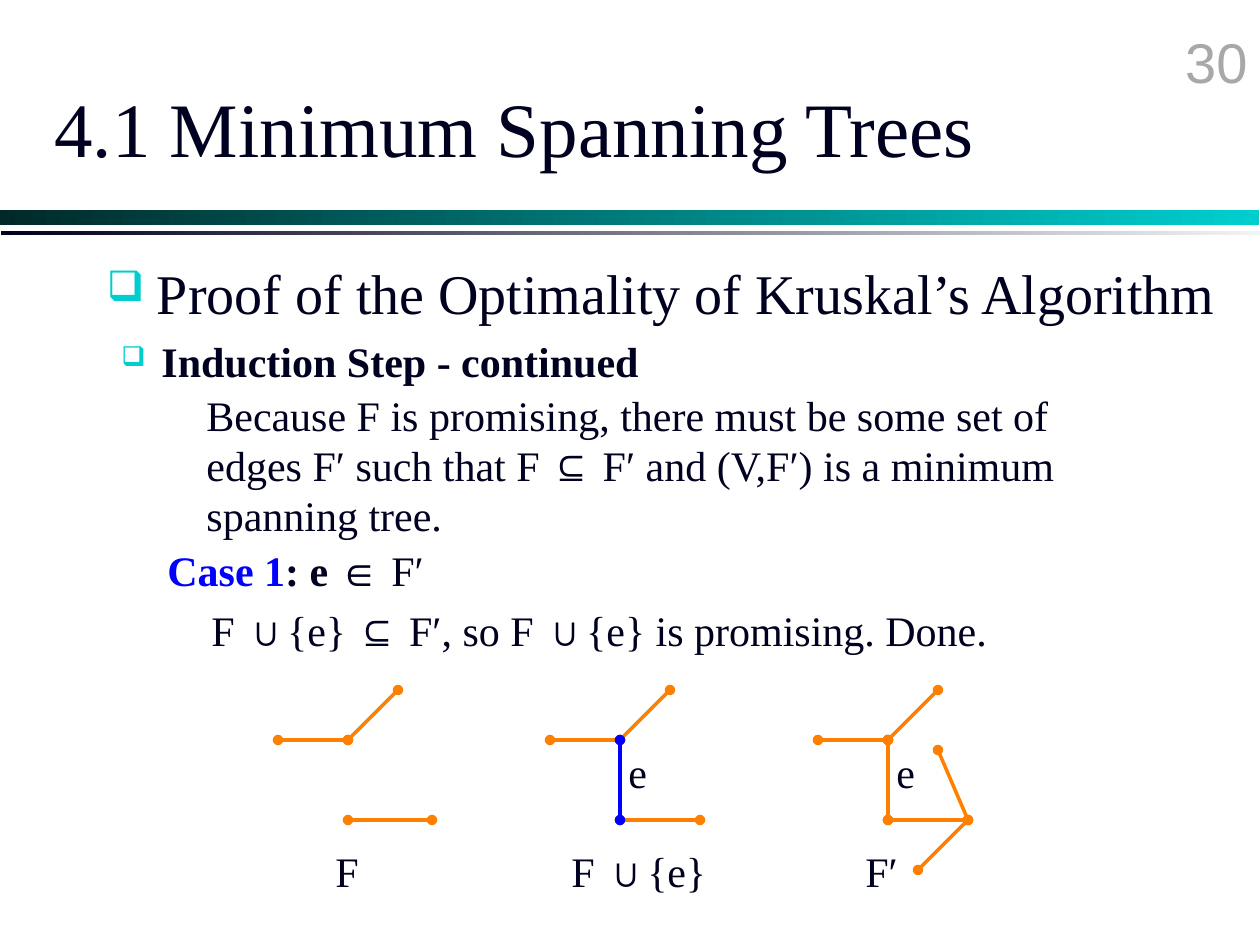
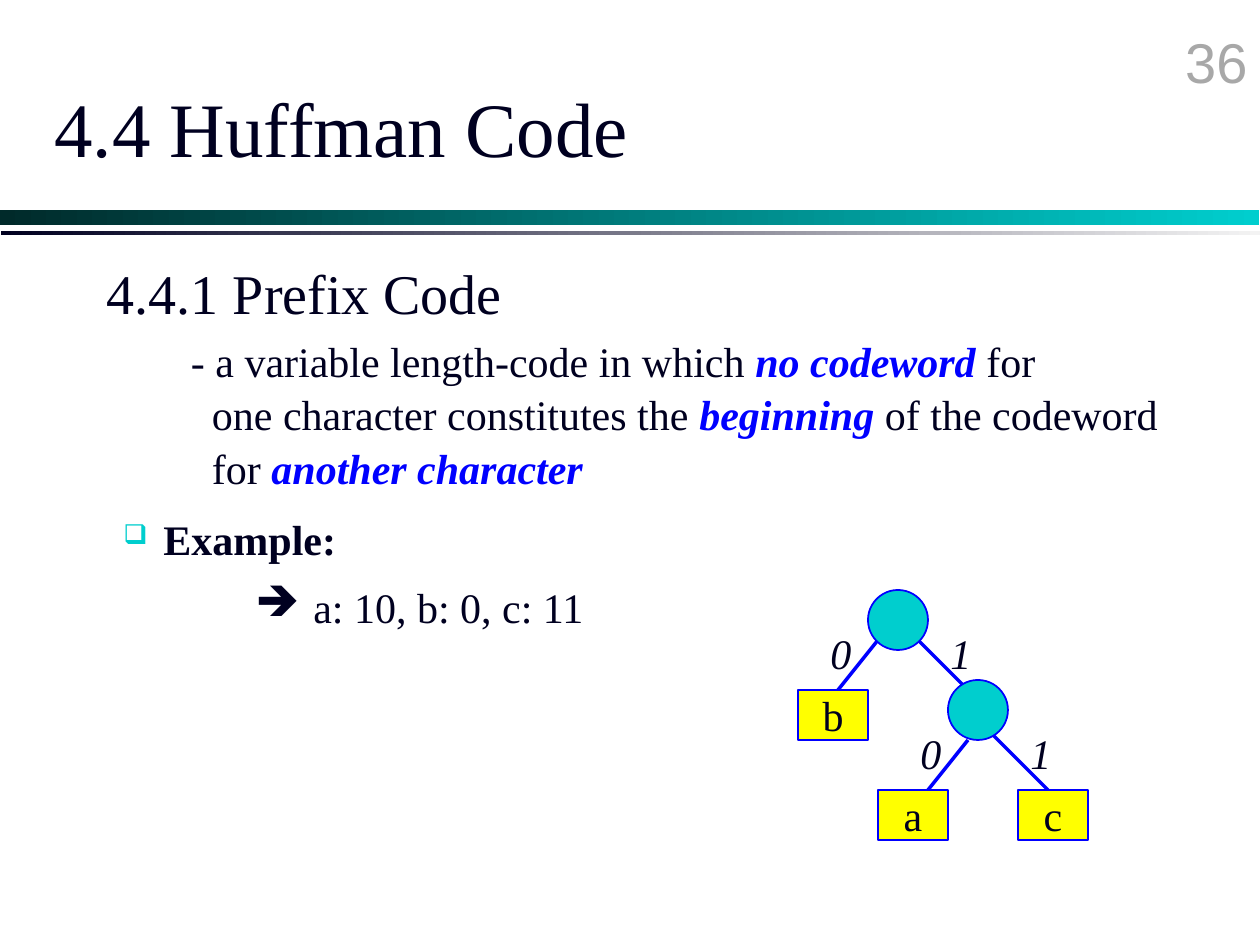
from dataclasses import dataclass
from typing import NamedTuple

from lxml.etree import SubElement
from pptx import Presentation
from pptx.dml.color import RGBColor
from pptx.enum.shapes import MSO_CONNECTOR, MSO_SHAPE
from pptx.enum.text import MSO_ANCHOR, PP_ALIGN
from pptx.oxml.ns import qn
from pptx.util import Emu, Inches, Pt

# Shared style; every length is counted in square cells, 126 to the slide's width
WIDTH, HEIGHT = Inches(10), Inches(7.5)
CELL = WIDTH / 126
INK, TEAL, BLUE, ORANGE = "000020", "00CECE", "0000FF", "FF8000"
YELLOW, GREY = "FFFF00", "A8A8A8"
SERIF, SANS = "Times New Roman", "Arial"
LINE_HEIGHT, TIGHT = 1.2, 1.08

PLAIN = {}
BOLD = {"bold": True}
ITALIC = {"italic": True}
KEYWORD = {"bold": True, "italic": True, "color": BLUE}


class Place(NamedTuple):
    col: float
    row: float
    cols: float
    rows: float


class Bullet(NamedTuple):
    mark: str
    color: str
    percent: int


class Band(NamedTuple):
    place: Place
    start: str
    end: str


@dataclass
class Line:
    """One paragraph: runs of (text, format), with its indents in cells."""
    runs: list
    margin: float = 0
    hanging: float = 0
    bullet: Bullet | None = None


@dataclass
class Block:
    """A text box with its lines and type."""
    place: Place
    lines: list
    size: float = 24
    leading: float = LINE_HEIGHT
    font: str = SERIF
    color: str = INK
    align: PP_ALIGN = PP_ALIGN.LEFT
    anchor: MSO_ANCHOR = MSO_ANCHOR.TOP
    wrap: bool = True


class Edge(NamedTuple):
    start: tuple
    end: tuple
    color: str = ORANGE


class Label(NamedTuple):
    text: str
    col: float
    row: float
    cols: float


@dataclass
class Graph:
    """Edges and labels, placed from the graph's hub."""
    col: float
    edges: list
    labels: list


class Node(NamedTuple):
    col: float
    row: float
    text: str = ""


BANDS = [Band(Place(0, 21, 125.9, 1.5), "002A2A", TEAL),
         Band(Place(0.1, 23.05, 125.9, 0.5), INK, "F3F3F3")]
HEADING_BULLET = Bullet("❑", TEAL, 75)
POINT_BULLET = Bullet("❑", TEAL, 65)
ARROW_BULLET = Bullet("➔", INK, 100)


def cells(count: float) -> Emu:
    return Emu(round(count * CELL))


def rgb(value: str) -> RGBColor:
    return RGBColor.from_string(value)


def set_format(target, values: dict) -> None:
    for name, value in values.items():
        if name == "color":
            target.color.rgb = rgb(value)
        else:
            setattr(target, name, value)


def set_indent(paragraph, line: Line) -> None:
    properties = paragraph._p.get_or_add_pPr()
    properties.set("marL", str(cells(line.margin)))
    properties.set("indent", str(-cells(line.hanging)))
    if line.bullet:
        color = SubElement(properties, qn("a:buClr"))
        SubElement(color, qn("a:srgbClr")).set("val", line.bullet.color)
        SubElement(properties, qn("a:buSzPct")).set("val", str(line.bullet.percent * 1000))
        SubElement(properties, qn("a:buChar")).set("char", line.bullet.mark)


def write(frame, block: Block) -> None:
    set_format(frame, {"word_wrap": block.wrap, "vertical_anchor": block.anchor})
    for index, line in enumerate(block.lines):
        paragraph = frame.add_paragraph() if index else frame.paragraphs[0]
        set_indent(paragraph, line)
        set_format(paragraph, {"alignment": block.align,
                               "line_spacing": Pt(block.size * block.leading)})
        if index:
            paragraph.space_before = Pt(block.size * 0.2)
        for text, changes in line.runs:
            run = paragraph.add_run()
            run.text = text
            set_format(run.font, {"name": block.font, "size": Pt(block.size),
                                  "color": block.color, **changes})


def add_block(slide, block: Block) -> None:
    box = slide.shapes.add_textbox(*map(cells, block.place))
    write(box.text_frame, block)


def add_shape(slide, kind: MSO_SHAPE, place: Place):
    shape = slide.shapes.add_shape(kind, *map(cells, place))
    shape.shadow.inherit = False
    return shape


def add_band(slide, band: Band) -> None:
    bar = add_shape(slide, MSO_SHAPE.RECTANGLE, band.place)
    bar.line.fill.background()
    bar.fill.gradient()
    bar.fill.gradient_angle = 0
    for stop, color in zip(bar.fill.gradient_stops, (band.start, band.end)):
        stop.color.rgb = rgb(color)


def add_edge(slide, edge: Edge, col: float, row: float, dots: bool = False) -> None:
    ends = [cells(base + offset) for point in (edge.start, edge.end)
            for base, offset in zip((col, row), point)]
    line = slide.shapes.add_connector(MSO_CONNECTOR.STRAIGHT, *ends)
    set_format(line.line, {"color": edge.color, "width": Pt(2)})
    properties = line._element.spPr
    if dots:
        for end in ("a:headEnd", "a:tailEnd"):
            SubElement(properties.find(qn("a:ln")), qn(end)).set("type", "oval")
    SubElement(properties, qn("a:effectLst"))


def add_label(slide, label: Label, col: float, row: float, style: dict, wrap: bool) -> None:
    place = Place(col + label.col, row + label.row, label.cols, 6.3)
    add_block(slide, Block(place, [Line([(label.text, style)])], wrap=wrap))


def add_graph(slide, graph: Graph, row: float) -> None:
    for edge in graph.edges:
        add_edge(slide, edge, graph.col, row, dots=True)
    for label in graph.labels:
        add_label(slide, label, graph.col, row, PLAIN, wrap=False)


def add_node(slide, node: Node, col: float, row: float) -> None:
    """A labelled leaf is a box; an inner node is a circle."""
    kind, size, color = ((MSO_SHAPE.RECTANGLE, (7, 5), YELLOW) if node.text
                         else (MSO_SHAPE.OVAL, (6, 6), TEAL))
    place = Place(col + node.col, row + node.row, *size)
    shape = add_shape(slide, kind, place)
    shape.fill.solid()
    shape.fill.fore_color.rgb = rgb(color)
    set_format(shape.line, {"color": BLUE, "width": Pt(1)})
    if node.text:
        write(shape.text_frame, Block(place, [Line([(node.text, PLAIN)])], wrap=False,
                                      align=PP_ALIGN.CENTER, anchor=MSO_ANCHOR.MIDDLE))


def add_page(deck, number: str, title: str, heading: Line):
    """A slide with the bands, page number, title and heading."""
    slide = deck.slides.add_slide(deck.slide_layouts[6])
    for band in BANDS:
        add_band(slide, band)
    add_block(slide, Block(Place(99.8, 2.1, 26.2, 6.3), [Line([(number, PLAIN)])], 32,
                           font=SANS, color=GREY, align=PP_ALIGN.RIGHT))
    add_block(slide, Block(Place(4.2, 4.8, 107.1, 15.75), [Line([(title, PLAIN)])], 44,
                           anchor=MSO_ANCHOR.MIDDLE))
    add_block(slide, Block(Place(9.45, 25.2, 115, 7.3), [heading], 32))
    return slide


def point(text: str) -> Line:
    return Line([(text, BOLD)], 13.6, 4, POINT_BULLET)


def build_spanning_trees(deck) -> None:
    heading = Line([("Proof of the Optimality of Kruskal’s Algorithm", PLAIN)],
                   5, 5, HEADING_BULLET)
    slide = add_page(deck, "30", "4.1 Minimum Spanning Trees", heading)

    # Induction step and first case
    promise = ("Because F is promising, there must be some set of edges F′ such that "
               "F ⊆ F′ and (V,F′) is a minimum spanning tree.")
    case = [("Case 1", {"bold": True, "color": BLUE}), (": e ∈ ", BOLD), ("F′", PLAIN)]
    result = "F ∪{e} ⊆ F′, so F ∪{e} is promising. Done."
    for block in (
        Block(Place(1.3, 33.4, 66.4, 5.8), [point("Induction Step - continued")], leading=TIGHT),
        Block(Place(19.4, 38.3, 95, 16.5), [Line([(promise, PLAIN)])]),
        Block(Place(15.5, 54.3, 28.9, 5.8), [Line(case)], leading=TIGHT, wrap=False),
        Block(Place(19.9, 60.35, 80.8, 5.8), [Line([(result, PLAIN)])],
              leading=TIGHT, wrap=False),
    ):
        add_block(slide, block)

    # Three graphs that share the two edges at the hub
    hub, below, corner = (0, 0), (0, 8), (8, 8)
    shared = [Edge((5, -5), hub), Edge(hub, (-7, 0))]
    edge_label = Label("e", -0.4, 0, 4.4)
    for graph in (
        Graph(34.8, [*shared, Edge((8.4, 8), below)], [Label("F", -2.5, 9.9, 4.9)]),
        Graph(62, [*shared, Edge(corner, below), Edge(below, hub, BLUE)],
              [Label("F ∪{e}", -6.1, 9.9, 16), edge_label]),
        Graph(88.8, [*shared, Edge(hub, below), Edge(corner, below),
                     Edge(corner, (3, 13)), Edge((5, 1), corner)],
              [Label("F′", -3.5, 9.9, 5.8), edge_label]),
    ):
        add_graph(slide, graph, 74)


def build_huffman_code(deck) -> None:
    slide = add_page(deck, "36", "4.4 Huffman Code", Line([("4.4.1 Prefix Code", PLAIN)]))

    # Definition and example
    definition = [
        Line([("- a variable length-code in which ", PLAIN), ("no codeword ", KEYWORD),
              ("for", PLAIN)], 15.75, 2.1),
        Line([("one character constitutes the ", PLAIN), ("beginning ", KEYWORD),
              ("of the codeword", PLAIN)], 15.75),
        Line([("for ", PLAIN), ("another character", KEYWORD)], 15.75),
    ]
    codes = Line([("a: 10, b: 0, c: 11", PLAIN)], 5.8, 5.8, ARROW_BULLET)
    for block in (
        Block(Place(4.2, 33.4, 113.9, 17), definition, leading=TIGHT),
        Block(Place(1.5, 51.2, 37.3, 5.8), [point("Example:")], leading=TIGHT),
        Block(Place(24.3, 57.5, 46.6, 6.3), [codes]),
    ):
        add_block(slide, block)

    # Code tree, placed from its top left corner
    corner = (79.8, 59)
    for start, end in (((8, 5), (4, 10)), ((12, 5), (17, 10)),
                       ((17, 15), (13, 20)), ((19, 14), (25, 20))):
        add_edge(slide, Edge(start, end, BLUE), *corner)
    for node in (Node(7, 0), Node(15, 9), Node(0, 10, "b"), Node(8, 20, "a"), Node(22, 20, "c")):
        add_node(slide, node, *corner)
    for bit, col, row in (("0", 2, 3.1), ("1", 14, 3.1), ("0", 11, 13.1), ("1", 22, 13.1)):
        add_label(slide, Label(bit, col, row, 7), *corner, ITALIC, wrap=True)


def main() -> None:
    deck = Presentation()
    set_format(deck, {"slide_width": WIDTH, "slide_height": HEIGHT})
    build_spanning_trees(deck)
    build_huffman_code(deck)
    deck.save("out.pptx")


if __name__ == "__main__":
    main()
